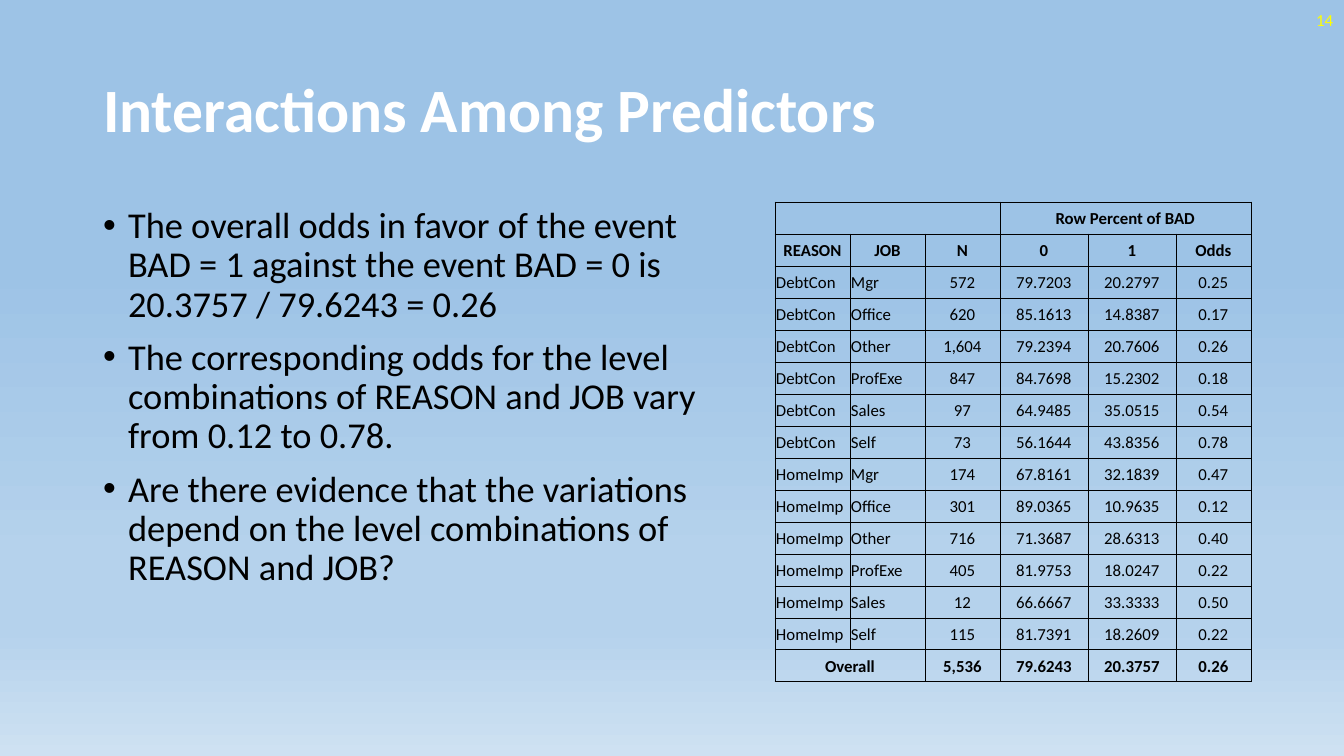
"""Build the slide on interactions among predictors, with its odds table."""
import pptx
import pptx.util
import pptx.dml.color
import pptx.enum.text
import pptx.oxml.ns
import lxml.etree

TITLE = "Interactions Among Predictors"
NUMBER = "14"
POINTS = [
    "The overall odds in favor of the event BAD = 1 against the event BAD = 0 is 20.3757 / 79.6243 = 0.26",
    "The corresponding odds for the level combinations of REASON and JOB vary from 0.12 to 0.78.",
    "Are there evidence that the variations depend on the level combinations of REASON and JOB?",
]
JOBS = ["Mgr", "Office", "Other", "ProfExe", "Sales", "Self"]
STATS = {
    "DebtCon": [
        ("572", "79.7203", "20.2797", "0.25"),
        ("620", "85.1613", "14.8387", "0.17"),
        ("1,604", "79.2394", "20.7606", "0.26"),
        ("847", "84.7698", "15.2302", "0.18"),
        ("97", "64.9485", "35.0515", "0.54"),
        ("73", "56.1644", "43.8356", "0.78"),
    ],
    "HomeImp": [
        ("174", "67.8161", "32.1839", "0.47"),
        ("301", "89.0365", "10.9635", "0.12"),
        ("716", "71.3687", "28.6313", "0.40"),
        ("405", "81.9753", "18.0247", "0.22"),
        ("12", "66.6667", "33.3333", "0.50"),
        ("115", "81.7391", "18.2609", "0.22"),
    ],
}
HEADS = [
    ("", "", "", "Row Percent of BAD", "", ""),
    ("REASON", "JOB", "N", "0", "1", "Odds"),
]
OVERALL = ("Overall", "", "5,536", "79.6243", "20.3757", "0.26")
COLORS = {"title": "FFFFFF", "text": "000000", "number": "FFFF00",
          "sky": "9DC3E6", "mid": "B5D2EC", "pale": "CEE1F2"}
STOPS = [(35, "sky"), (74, "mid"), (83, "mid"), (100, "pale")]
COL_WIDTHS = [75, 75, 75, 88, 88, 75]
ROW_HEIGHT = 32
FONT = "Calibri"
ALIGN = pptx.enum.text.PP_ALIGN
MIDDLE = pptx.enum.text.MSO_ANCHOR.MIDDLE


def px(n):
    return pptx.util.Emu(round(n * 914400 / 100.8))


def sub(parent, tag, **attrs):
    return lxml.etree.SubElement(parent, pptx.oxml.ns.qn(tag), attrs)


def place(sp, left, top, width, height):
    sp.left, sp.top, sp.width, sp.height = map(px, (left, top, width, height))


def add_run(p, text, size, color, bold=False):
    r = p.add_run()
    r.text = text
    r.font.name = FONT
    r.font.size = pptx.util.Pt(size)
    r.font.bold = bold
    r.font.color.rgb = pptx.dml.color.RGBColor.from_string(COLORS[color])


def paint_background(s):
    fill = s.background.fill
    fill.gradient()
    fill.gradient_angle = 270
    stops = next(s.element.iter(pptx.oxml.ns.qn("a:gsLst")))
    for gs in list(stops):
        stops.remove(gs)
    for pos, color in STOPS:
        gs = sub(stops, "a:gs", pos=str(pos * 1000))
        sub(gs, "a:srgbClr", val=COLORS[color])


def add_title(s):
    sp = s.shapes.title
    place(sp, 93, 40, 1159, 146)
    tf = sp.text_frame
    tf.auto_size = pptx.enum.text.MSO_AUTO_SIZE.NONE
    tf.vertical_anchor = MIDDLE
    p = tf.paragraphs[0]
    p.alignment = ALIGN.LEFT
    p.line_spacing = 0.9
    add_run(p, TITLE, 44, "title", True)


def add_points(s):
    sp = s.placeholders[1]
    place(sp, 93, 202, 654, 480)
    tf = sp.text_frame
    tf.auto_size = pptx.enum.text.MSO_AUTO_SIZE.NONE
    for i, text in enumerate(POINTS):
        p = tf.add_paragraph() if i else tf.paragraphs[0]
        p.line_spacing = 0.9
        p.space_before = pptx.util.Pt(10)
        pPr = p._p.get_or_add_pPr()
        pPr.set("marL", str(px(25)))
        pPr.set("indent", str(-px(25)))
        sub(pPr, "a:buChar", char="•")
        add_run(p, text, 26, "text")


def add_number(s):
    tf = s.shapes.add_textbox(px(1041), px(0), px(302), px(40)).text_frame
    tf.word_wrap = True
    tf.vertical_anchor = MIDDLE
    p = tf.paragraphs[0]
    p.alignment = ALIGN.RIGHT
    add_run(p, NUMBER, 12, "number")


def format_cell(cell):
    cell.margin_left = cell.margin_right = cell.margin_top = px(1)
    cell.margin_bottom = 0
    cell.vertical_anchor = MIDDLE
    tcPr = cell._tc.get_or_add_tcPr()
    for side in "LRTB":
        ln = sub(tcPr, f"a:ln{side}", w=str(pptx.util.Pt(0.5)))
        sub(sub(ln, "a:solidFill"), "a:srgbClr", val=COLORS["text"])
    cell.fill.background()


def add_odds_table(s):
    levels = [(reason, job, *stats) for reason, group in STATS.items()
              for job, stats in zip(JOBS, group)]
    rows = HEADS + levels + [OVERALL]
    last = len(rows) - 1
    table = s.shapes.add_table(
        len(rows), len(COL_WIDTHS), px(775), px(202),
        px(sum(COL_WIDTHS)), px(ROW_HEIGHT * len(rows))).table
    table.first_row = table.horz_banding = False
    for col, width in zip(table.columns, COL_WIDTHS):
        col.width = px(width)
    for i, values in enumerate(rows):
        table.rows[i].height = px(ROW_HEIGHT)
        bold = i < len(HEADS) or i == last
        for j, text in enumerate(values):
            cell = table.cell(i, j)
            format_cell(cell)
            p = cell.text_frame.paragraphs[0]
            p.alignment = ALIGN.CENTER if bold or j > 1 else ALIGN.LEFT
            if text:
                add_run(p, text, 12, "text", bold)
            else:
                sub(p._p, "a:endParaRPr", sz="1200")
    for row, first, end in [(0, 0, 2), (0, 3, 5), (last, 0, 1)]:
        table.cell(row, first).merge(table.cell(row, end))


def main():
    prs = pptx.Presentation()
    prs.slide_width, prs.slide_height = px(1344), px(756)
    s = prs.slides.add_slide(prs.slide_layouts[1])
    paint_background(s)
    add_title(s)
    add_odds_table(s)
    add_number(s)
    add_points(s)
    prs.save("out.pptx")


if __name__ == "__main__":
    main()
